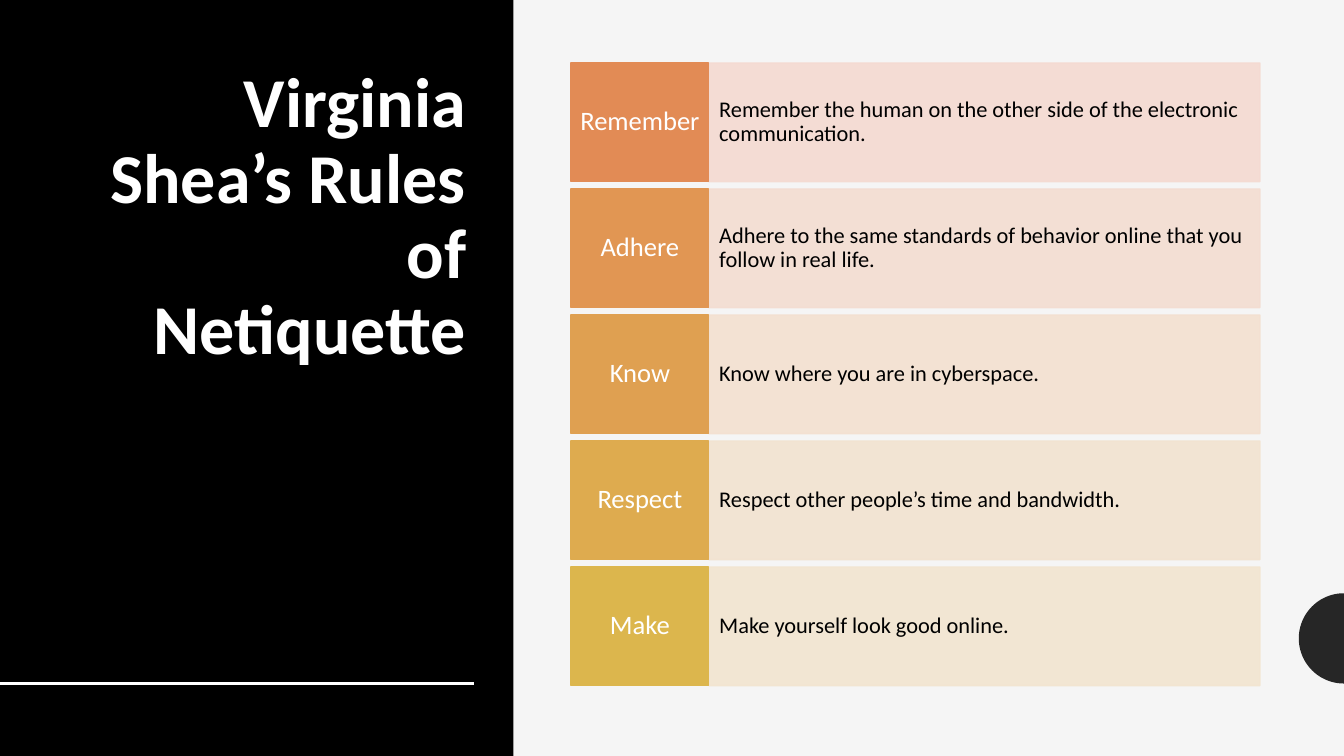
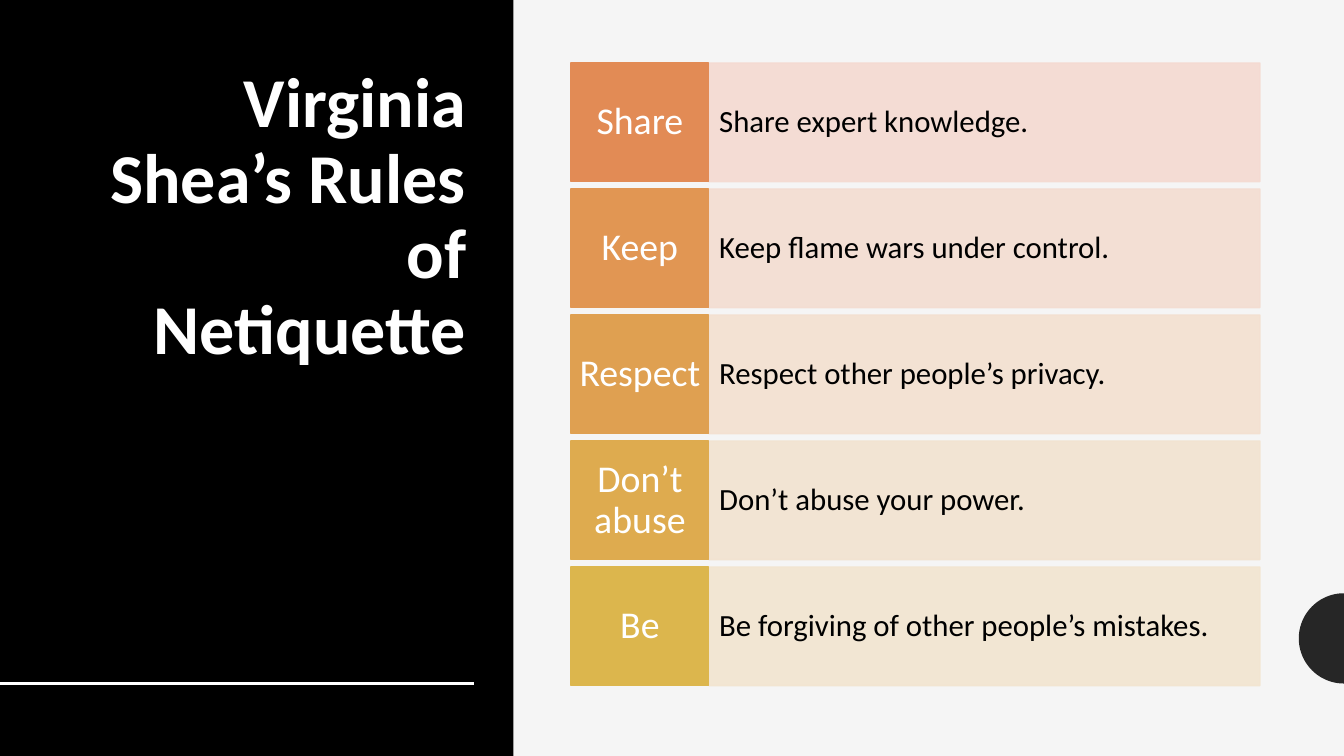
import math
from dataclasses import dataclass

from lxml import etree
from pptx import Presentation
from pptx.dml.color import RGBColor
from pptx.enum import shapes, text
from pptx.oxml import ns
from pptx.util import Emu, Pt

PX = 9525
SLIDE_WIDTH, SLIDE_HEIGHT = 1280, 720


@dataclass(frozen=True)
class Theme:
    font: str = "Calibri"
    background: str = "F5F5F5"
    panel: str = "000000"
    tab: str = "262626"
    light: str = "FFFFFF"
    dark: str = "000000"
    label_fills: tuple[str, ...] = ("E28B55", "E19653", "DFA051", "DEAB4F", "DCB64D")
    detail_fills: tuple[str, ...] = ("F4DAD1", "F3DDD1", "F3E0D0", "F2E3D0", "F2E5D0")
    detail_opacity: int = 90
    title_size: int = 50
    line_spacing: float = 0.9
    rule_width: int = 2
    border_width: int = 1


@dataclass(frozen=True)
class Box:
    left: int
    top: int
    width: int
    height: int

    def emu(self) -> tuple[Emu, ...]:
        return tuple(px(v) for v in (self.left, self.top, self.width, self.height))


@dataclass(frozen=True)
class TextStyle:
    size: int
    color: str
    align: text.PP_ALIGN
    anchor: text.MSO_ANCHOR
    inset_x: int
    inset_y: int
    bold: bool = False


@dataclass(frozen=True)
class Rule:
    label: str
    detail: str


@dataclass(frozen=True)
class RulesPage:
    label_size: int
    detail_size: int
    rules: tuple[Rule, ...]


THEME = Theme()
TITLE = "Virginia Shea’s Rules of Netiquette"
PANEL = Box(0, 0, 489, SLIDE_HEIGHT)
TITLE_BOX = Box(80, 59, 374, 520)
TITLE_STYLE = TextStyle(THEME.title_size, THEME.light, text.PP_ALIGN.RIGHT,
                        text.MSO_ANCHOR.TOP, 10, 5, True)
RULE_END, RULE_Y = 451, 651
TAB_CENTER_Y, TAB_RADIUS, TAB_STEPS = 608, 43, 48
ROW_TOP, ROW_HEIGHT, ROW_PITCH = 60, 113, 120
LABEL_LEFT, LABEL_WIDTH, DETAIL_WIDTH = 544, 131, 525

PAGES = (
    RulesPage(19, 16, (
        Rule("Remember", "Remember the human on the other side of the electronic communication."),
        Rule("Adhere", "Adhere to the same standards of behavior online that you follow in real life."),
        Rule("Know", "Know where you are in cyberspace."),
        Rule("Respect", "Respect other people’s time and bandwidth."),
        Rule("Make", "Make yourself look good online."),
    )),
    RulesPage(27, 22, (
        Rule("Share", "Share expert knowledge."),
        Rule("Keep", "Keep flame wars under control."),
        Rule("Respect", "Respect other people’s privacy."),
        Rule("Don’t abuse", "Don’t abuse your power."),
        Rule("Be", "Be forgiving of other people’s mistakes."),
    )),
)


def px(value: float) -> Emu:
    return Emu(round(value * PX))


def rgb(color: str) -> RGBColor:
    return RGBColor.from_string(color)


def write_text(shape, content: str, style: TextStyle) -> None:
    frame = shape.text_frame
    frame.word_wrap = True
    frame.vertical_anchor = style.anchor
    frame.margin_left = frame.margin_right = px(style.inset_x)
    frame.margin_top = frame.margin_bottom = px(style.inset_y)
    paragraph = frame.paragraphs[0]
    paragraph.alignment = style.align
    paragraph.line_spacing = THEME.line_spacing
    run = paragraph.add_run()
    run.text = content
    run.font.name = THEME.font
    run.font.size = Pt(style.size)
    run.font.bold = style.bold
    run.font.color.rgb = rgb(style.color)


def paint(shape, color: str, bordered: bool = False) -> None:
    shape.shadow.inherit = False
    shape.fill.solid()
    shape.fill.fore_color.rgb = rgb(color)
    if bordered:
        shape.line.color.rgb = rgb(color)
        shape.line.width = Pt(THEME.border_width)
    else:
        shape.line.fill.background()


def set_opacity(shape, percent: int) -> None:
    for color in shape.element.spPr.iter(ns.qn("a:srgbClr")):
        etree.SubElement(color, ns.qn("a:alpha"), val=str(percent * 1000))


def add_rectangle(slide, box: Box, color: str, bordered: bool = False):
    shape = slide.shapes.add_shape(shapes.MSO_SHAPE.RECTANGLE, *box.emu())
    paint(shape, color, bordered)
    return shape


def add_edge_tab(slide) -> None:
    points = []
    for step in range(TAB_STEPS + 1):
        angle = math.pi * step / TAB_STEPS
        points.append((px(SLIDE_WIDTH - TAB_RADIUS * math.sin(angle)),
                       px(TAB_CENTER_Y - TAB_RADIUS * math.cos(angle))))
    builder = slide.shapes.build_freeform(*points[0])
    builder.add_line_segments(points[1:], close=True)
    paint(builder.convert_to_shape(), THEME.tab)


def add_title_rule(slide) -> None:
    line = slide.shapes.add_connector(
        shapes.MSO_CONNECTOR.STRAIGHT, px(0), px(RULE_Y), px(RULE_END), px(RULE_Y))
    line.line.color.rgb = rgb(THEME.light)
    line.line.width = Pt(THEME.rule_width)
    etree.SubElement(line.element.spPr, ns.qn("a:effectLst"))


def add_frame(slide) -> None:
    slide.background.fill.solid()
    slide.background.fill.fore_color.rgb = rgb(THEME.background)
    add_edge_tab(slide)
    add_rectangle(slide, PANEL, THEME.panel)
    write_text(slide.shapes.add_textbox(*TITLE_BOX.emu()), TITLE, TITLE_STYLE)
    add_title_rule(slide)


def add_rules(slide, page: RulesPage) -> None:
    middle = text.MSO_ANCHOR.MIDDLE
    label_style = TextStyle(page.label_size, THEME.light, text.PP_ALIGN.CENTER, middle, 7, 11)
    detail_style = TextStyle(page.detail_size, THEME.dark, text.PP_ALIGN.LEFT, middle, 10, 29)
    rows = zip(page.rules, THEME.label_fills, THEME.detail_fills)
    for index, (rule, label_fill, detail_fill) in enumerate(rows):
        top = ROW_TOP + index * ROW_PITCH
        detail_box = Box(LABEL_LEFT + LABEL_WIDTH, top, DETAIL_WIDTH, ROW_HEIGHT)
        detail = add_rectangle(slide, detail_box, detail_fill, True)
        set_opacity(detail, THEME.detail_opacity)
        write_text(detail, rule.detail, detail_style)
        label_box = Box(LABEL_LEFT, top, LABEL_WIDTH, ROW_HEIGHT)
        label = add_rectangle(slide, label_box, label_fill, True)
        write_text(label, rule.label, label_style)


def main() -> None:
    presentation = Presentation()
    presentation.slide_width = px(SLIDE_WIDTH)
    presentation.slide_height = px(SLIDE_HEIGHT)
    blank = presentation.slide_layouts[6]
    for page in PAGES:
        slide = presentation.slides.add_slide(blank)
        add_frame(slide)
        add_rules(slide, page)
    presentation.save("out.pptx")


if __name__ == "__main__":
    main()
